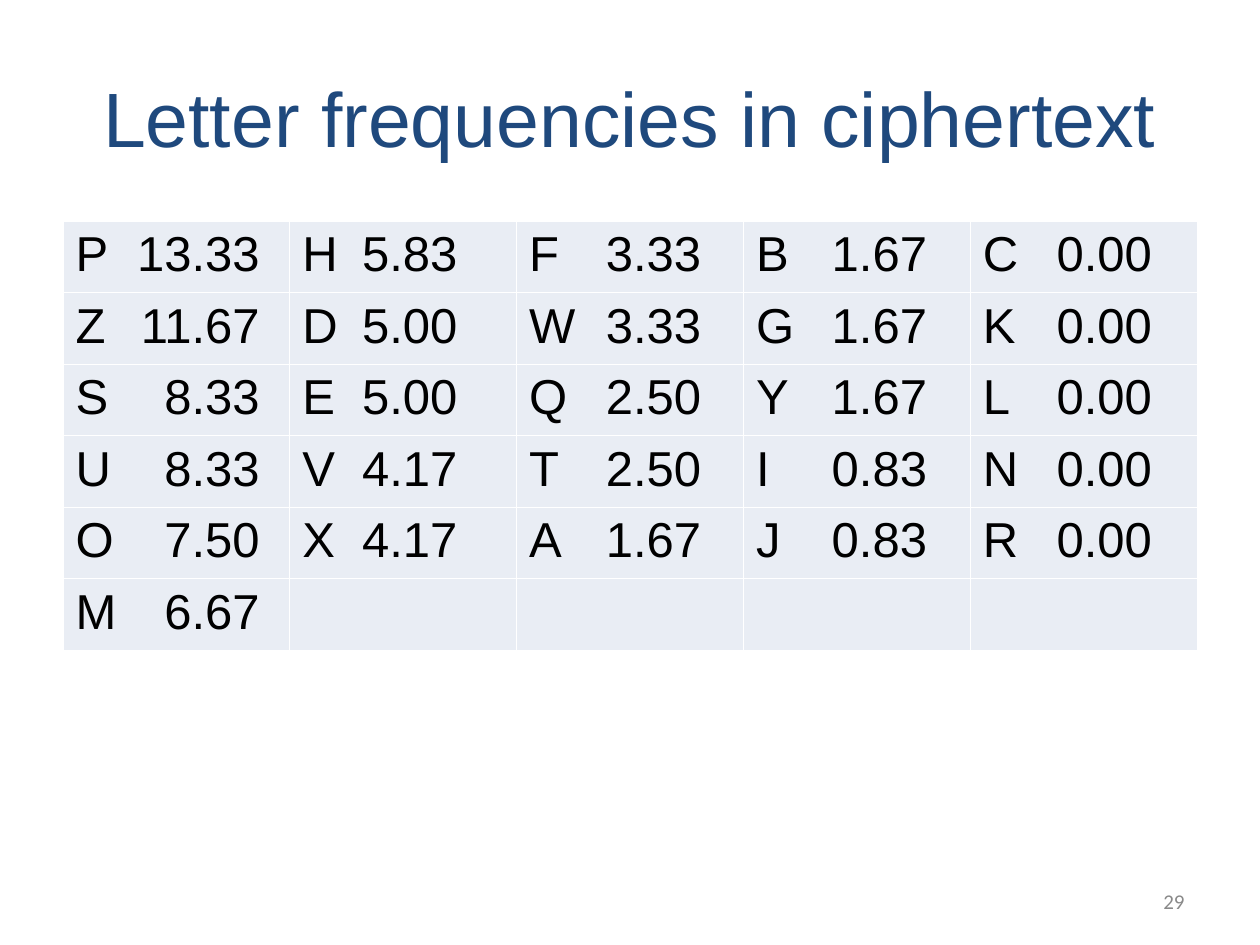
from lxml import etree
from pptx import Presentation
from pptx import util as u
from pptx.dml.color import RGBColor
from pptx.enum import text
from pptx.oxml import ns

SCALE = 914400 / 126  # EMU per px
INK, NAVY, GREY = "000000", "1F497D", "898989"
CELL_FILL, BORDER = "E9EDF4", "FFFFFF"

# Letter and percentage, row by row
FREQUENCIES = [
    ["P 13.33", "H 5.83", "F 3.33", "B 1.67", "C 0.00"],
    ["Z 11.67", "D 5.00", "W 3.33", "G 1.67", "K 0.00"],
    ["S 8.33", "E 5.00", "Q 2.50", "Y 1.67", "L 0.00"],
    ["U 8.33", "V 4.17", "T 2.50", "I 0.83", "N 0.00"],
    ["O 7.50", "X 4.17", "A 1.67", "J 0.83", "R 0.00"],
    ["M 6.67", "", "", "", ""],
]
NUMBER_ENDS = [184, 155, 172, 171, 169]  # right edge of the numbers, per column


def px(length):
    return u.Emu(round(length * SCALE))


def color(hex_string):
    return RGBColor.from_string(hex_string)


def style(paragraph, size, font_name, hex_string):
    for run in paragraph.runs:
        run.font.size = u.Pt(size)
        run.font.name = font_name
        run.font.color.rgb = color(hex_string)


def add_label(slide, box, words, size, font_name, hex_string, alignment):
    shape = slide.shapes.add_textbox(*map(px, box))
    frame = shape.text_frame
    frame.text = words
    frame.word_wrap = True
    frame.vertical_anchor = text.MSO_ANCHOR.MIDDLE
    paragraph = frame.paragraphs[0]
    paragraph.alignment = alignment
    style(paragraph, size, font_name, hex_string)


def add_borders(cell):
    properties = cell._tc.get_or_add_tcPr()
    for index, side in enumerate(("lnL", "lnR", "lnT", "lnB")):
        line = etree.Element(ns.qn(f"a:{side}"), w=str(u.Pt(0.45)))
        fill = etree.SubElement(line, ns.qn("a:solidFill"))
        etree.SubElement(fill, ns.qn("a:srgbClr"), val=BORDER)
        properties.insert(index, line)


def add_right_tab(paragraph, position):
    properties = paragraph._p.get_or_add_pPr()
    tabs = etree.SubElement(properties, ns.qn("a:tabLst"))
    etree.SubElement(tabs, ns.qn("a:tab"), pos=str(px(position)), algn="r")


def add_frequency_table(slide, box):
    row_count, column_count = len(FREQUENCIES), len(NUMBER_ENDS)
    table = slide.shapes.add_table(row_count, column_count, *map(px, box)).table
    table.first_row = table.horz_banding = False
    for row, entries in enumerate(FREQUENCIES):
        for column, entry in enumerate(entries):
            cell = table.cell(row, column)
            cell.fill.solid()
            cell.fill.fore_color.rgb = color(CELL_FILL)
            add_borders(cell)
            if entry:
                paragraph = cell.text_frame.paragraphs[0]
                paragraph.text = "\t".join(entry.split())
                add_right_tab(paragraph, NUMBER_ENDS[column])
                style(paragraph, 28, "Arial", INK)


def main():
    presentation = Presentation()
    presentation.slide_width, presentation.slide_height = px(1260), px(945)
    slide = presentation.slides.add_slide(presentation.slide_layouts[6])

    # Title
    add_label(slide, (63, 38, 1134, 157), "Letter frequencies in ciphertext",
              44, "Arial", NAVY, text.PP_ALIGN.CENTER)
    # Letter frequencies
    add_frequency_table(slide, (63, 221, 1134, 428))
    # Page number
    add_label(slide, (903, 876, 294, 50), "29",
              12, "Calibri", GREY, text.PP_ALIGN.RIGHT)

    presentation.save("out.pptx")


if __name__ == "__main__":
    main()
